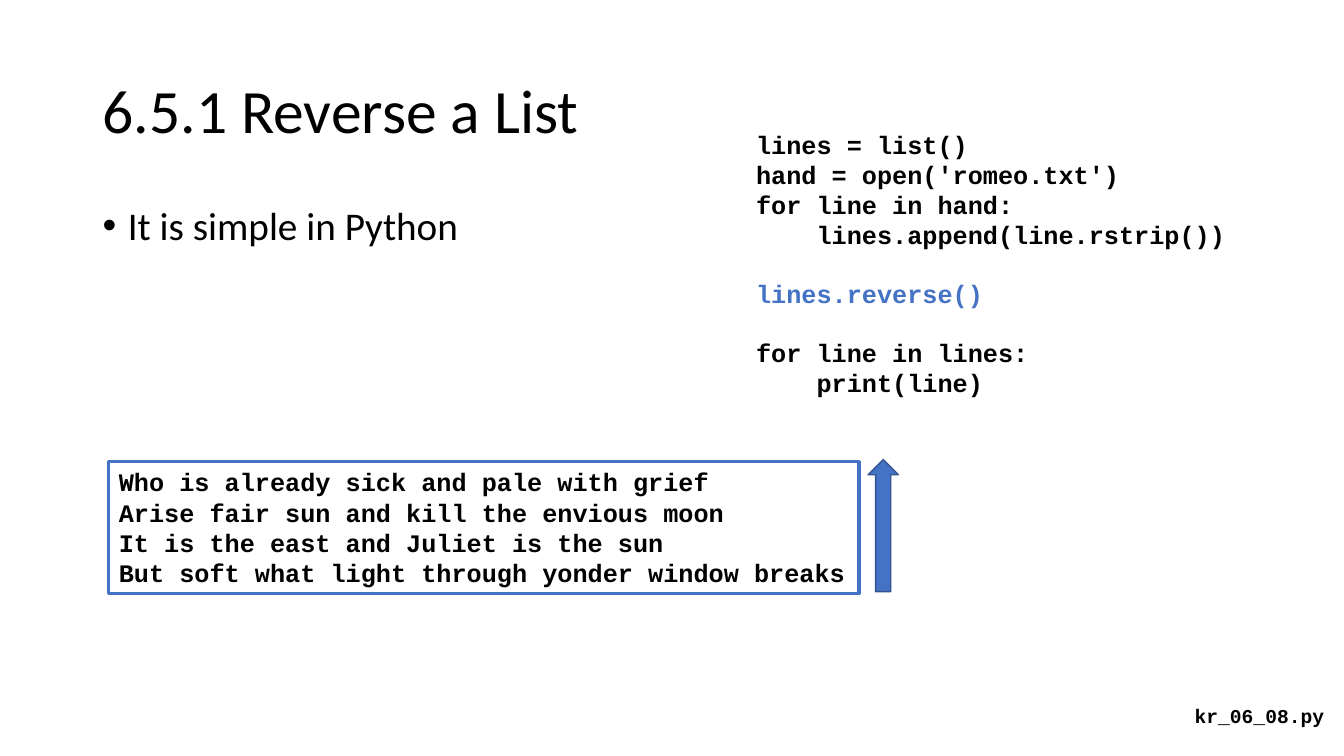
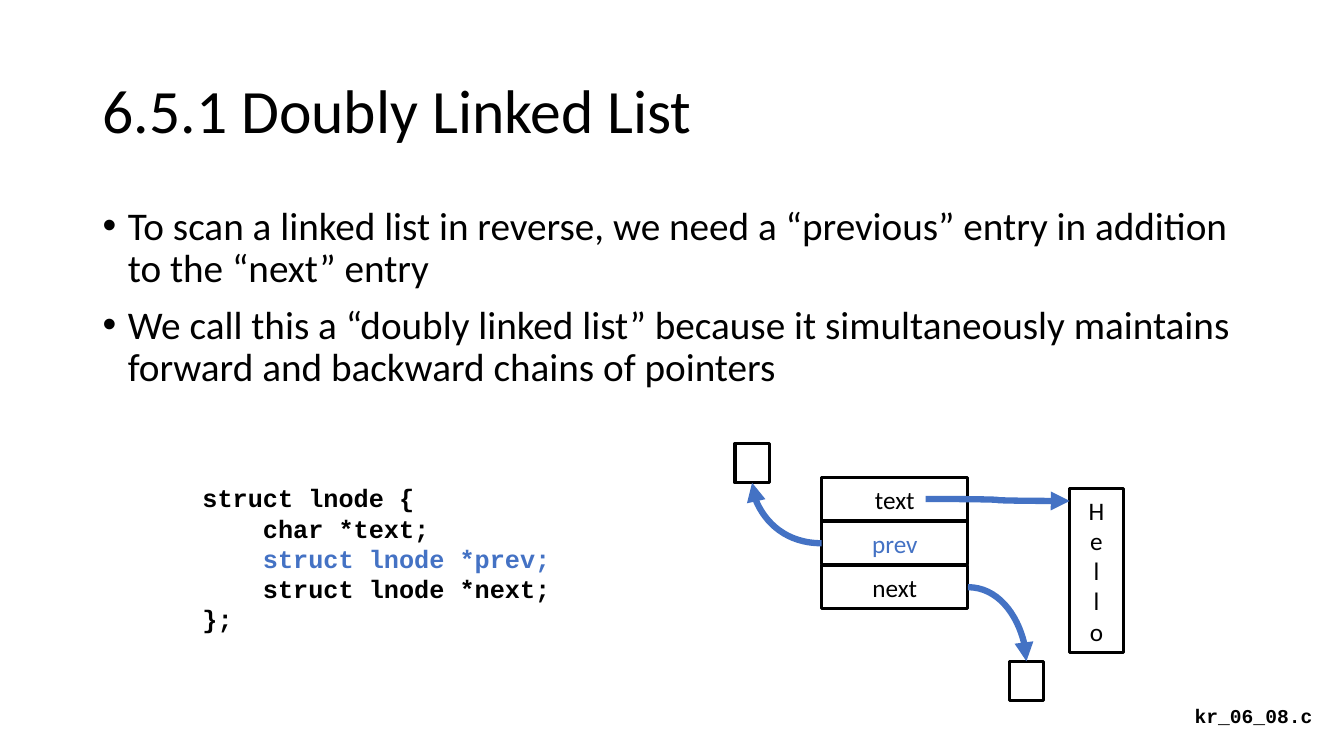
import pptx
import pptx.dml.color
import pptx.enum.shapes
import pptx.enum.text
import pptx.oxml
import pptx.oxml.ns
import pptx.util

Inches = pptx.util.Inches
Pt = pptx.util.Pt
RGBColor = pptx.dml.color.RGBColor
Align = pptx.enum.text.PP_ALIGN
Anchor = pptx.enum.text.MSO_ANCHOR
Shape = pptx.enum.shapes.MSO_SHAPE
Connector = pptx.enum.shapes.MSO_CONNECTOR

BLACK = RGBColor(0, 0, 0)
WHITE = RGBColor(255, 255, 255)
BLUE = RGBColor(0x44, 0x72, 0xC4)
DARK_BLUE = RGBColor(0x32, 0x54, 0x91)
BODY_FONT = "Calibri"
CODE_FONT = "Courier New"
CODE_INDENT = 0.6   # four characters of 18 pt code
CODE_GAP = 20.4     # one line of 18 pt code
TOP, LEFT, BOTTOM, RIGHT = range(4)   # connection sites of a rectangle


def add_element(parent, tag, attributes=""):
    namespace = pptx.oxml.ns.nsdecls("a")
    parent.append(pptx.oxml.parse_xml(f"<a:{tag} {namespace} {attributes}/>"))


def write(frame, text, size=18, font=BODY_FONT, color=BLACK, bold=False,
          align=Align.LEFT, spacing=1.0, before=0, indent=0, bullet=False):
    """Add one paragraph to the frame, filling its empty first one."""
    paragraph = frame.paragraphs[0] if not frame.text else frame.add_paragraph()
    paragraph.alignment = align
    paragraph.line_spacing = spacing
    paragraph.space_before = Pt(before)
    properties = paragraph._p.get_or_add_pPr()
    properties.set("marL", str(Inches(indent)))
    if bullet:
        properties.set("indent", str(-Inches(indent)))
        add_element(properties, "buFont", 'typeface="Arial"')
        add_element(properties, "buChar", 'char="\u2022"')
    run = paragraph.add_run()
    run.text = text
    run.font.size = Pt(size)
    run.font.name = font
    run.font.bold = bold
    run.font.color.rgb = color


class Deck:
    def __init__(self):
        self.presentation = pptx.Presentation()
        self.presentation.slide_width = Inches(13.33)
        self.presentation.slide_height = Inches(7.5)
        self.slide = None

    def new_slide(self, title, file_name):
        self.slide = self.presentation.slides.add_slide(
            self.presentation.slide_layouts[6])
        self.slide.background.fill.solid()
        self.slide.background.fill.fore_color.rgb = WHITE
        frame = self.text_box(0.92, 0.4, 11.5, 1.45)
        frame.vertical_anchor = Anchor.MIDDLE
        write(frame, title, size=44, spacing=0.9)
        write(self.text_box(11.75, 6.93, 1.51, 0.34), file_name,
              size=14, font=CODE_FONT, bold=True)

    def text_box(self, left, top, width, height):
        box = self.slide.shapes.add_textbox(
            Inches(left), Inches(top), Inches(width), Inches(height))
        box.text_frame.word_wrap = True
        return box.text_frame

    def bullets(self, left, top, width, height, items):
        frame = self.text_box(left, top, width, height)
        for item in items:
            write(frame, item, size=28, spacing=0.9, before=10,
                  indent=0.25, bullet=True)

    def code(self, frame, lines):
        for text, style in lines:
            write(frame, text, font=CODE_FONT, bold=True, **style)

    def shape(self, kind, left, top, width, height, fill=None, line=BLACK,
              line_width=2.25):
        shape = self.slide.shapes.add_shape(
            kind, Inches(left), Inches(top), Inches(width), Inches(height))
        shape.shadow.inherit = False
        if fill is None:
            shape.fill.background()
        else:
            shape.fill.solid()
            shape.fill.fore_color.rgb = fill
        shape.line.color.rgb = line
        shape.line.width = Pt(line_width)
        shape.text_frame.word_wrap = True
        return shape

    def labelled_box(self, left, top, width, height, lines, color=BLACK):
        box = self.shape(Shape.RECTANGLE, left, top, width, height)
        box.text_frame.vertical_anchor = Anchor.MIDDLE
        for line in lines:
            write(box.text_frame, line, color=color, align=Align.CENTER)
        return box

    def curve(self, start, end, preset="curvedConnector3"):
        connector = self.slide.shapes.add_connector(
            Connector.CURVE, *map(Inches, start + end))
        connector.line.color.rgb = BLUE
        connector.line.width = Pt(4.5)
        properties = connector._element.spPr
        properties.prstGeom.set("prst", preset)
        add_element(connector.line._get_or_add_ln(), "tailEnd", 'type="triangle"')
        add_element(properties, "effectLst")
        return connector

    def pointer(self, source, source_site, target, target_site, start, end):
        connector = self.curve(start, end, "curvedConnector2")
        connector.begin_connect(source, source_site)
        connector.end_connect(target, target_site)


deck = Deck()
indented = {"indent": CODE_INDENT}

# Reversing a list in Python
deck.new_slide("6.5.1 Reverse a List", "kr_06_08.py")
deck.bullets(0.92, 2, 6.12, 2.24, ["It is simple in Python"])
deck.code(deck.text_box(7.4, 1.23, 4.95, 2.83), [
    ("lines = list()", {}),
    ("hand = open('romeo.txt')", {}),
    ("for line in hand:", {}),
    ("lines.append(line.rstrip())", indented),
    ("lines.reverse()", {"color": BLUE, "before": CODE_GAP}),
    ("for line in lines:", {"before": CODE_GAP}),
    ("print(line)", indented),
])

# Program output and reading direction
output = deck.shape(Shape.RECTANGLE, 1.08, 4.58, 7.44, 1.31, line=BLUE)
output.text_frame.vertical_anchor = Anchor.TOP
deck.code(output.text_frame, [(verse, {}) for verse in (
    "Who is already sick and pale with grief",
    "Arise fair sun and kill the envious moon",
    "It is the east and Juliet is the sun",
    "But soft what light through yonder window breaks",
)])
deck.shape(Shape.UP_ARROW, 8.61, 4.56, 0.3, 1.31,
           fill=BLUE, line=DARK_BLUE, line_width=1)

# Doubly linked list in C
deck.new_slide("6.5.1 Doubly Linked List", "kr_06_08.c")
deck.bullets(0.92, 2, 11.5, 2.36, [
    "To scan a linked list in reverse, we need a “previous” entry in addition "
    "to the “next” entry",
    "We call this a “doubly linked list” because it simultaneously maintains "
    "forward and backward chains of pointers",
])
deck.code(deck.text_box(1.91, 4.74, 3.82, 1.62), [
    ("struct lnode {", {}),
    ("char *text;", indented),
    ("struct lnode *prev;", {"color": BLUE, **indented}),
    ("struct lnode *next;", indented),
    ("};", {}),
])

# Node with its three fields
fields = {}
for row, (name, color) in enumerate(
        [("text", BLACK), ("prev", BLUE), ("next", BLACK)]):
    fields[name] = deck.labelled_box(
        8.15, 4.74 + row * 0.435, 1.45, 0.43, [name], color)
deck.labelled_box(10.61, 4.85, 0.53, 1.62, "Hello")
previous_node = deck.shape(Shape.RECTANGLE, 7.29, 4.4, 0.34, 0.39)
next_node = deck.shape(Shape.RECTANGLE, 10.01, 6.56, 0.34, 0.39)

# Pointers
deck.curve((9.18, 4.95), (10.61, 4.97))
deck.pointer(fields["prev"], LEFT, previous_node, BOTTOM,
             (8.15, 5.39), (7.46, 4.79))
deck.pointer(fields["next"], RIGHT, next_node, TOP,
             (9.59, 5.82), (10.18, 6.56))

deck.presentation.save("out.pptx")
